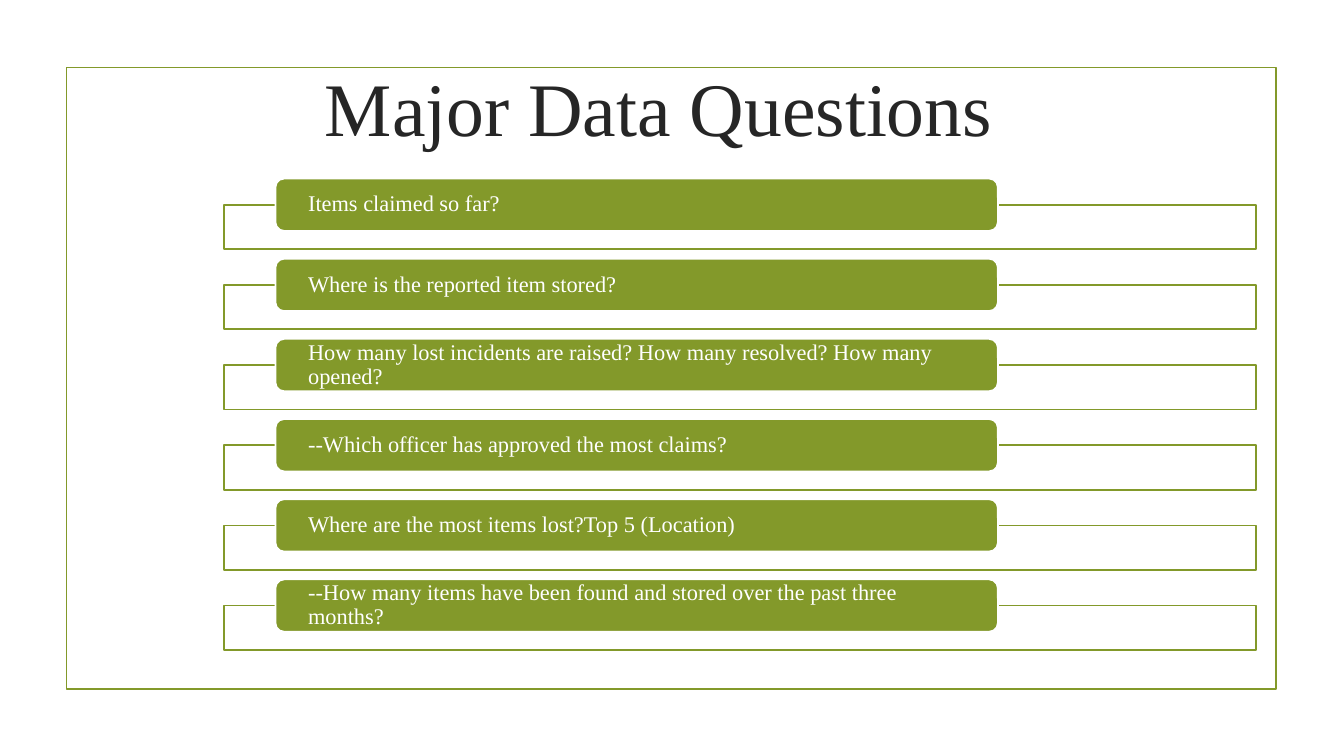
from lxml.etree import SubElement
from pptx import Presentation
from pptx.dml.color import RGBColor
from pptx.enum.shapes import MSO_SHAPE
from pptx.enum.text import MSO_ANCHOR, PP_ALIGN
from pptx.oxml.ns import qn
from pptx.util import Cm, Pt

FONT = "Times New Roman"
GREEN, WHITE, DARK = "83992A", "FFFFFF", "262626"
QUESTIONS = [
    "Items claimed so far?",
    "Where is the reported item stored?",
    "How many lost incidents are raised? How many resolved? How many opened?",
    "--Which officer has approved the most claims?",
    "Where are the most items lost?Top 5 (Location)",
    "--How many items have been found and stored over the past three months?",
]


def rgb(value):
    return RGBColor.from_string(value)


def add_box(slide, kind, left, top, width, height, fill, line):
    sp = slide.shapes.add_shape(kind, Cm(left), Cm(top), Cm(width), Cm(height))
    sp.shadow.inherit = False
    if fill:
        sp.fill.solid()
        sp.fill.fore_color.rgb = rgb(fill)
    else:
        sp.fill.background()
    sp.line.color.rgb = rgb(line)
    sp.line.width = Pt(1.25)
    return sp


def style_text(tf, text, size, color, align, anchor):
    tf.text = text
    tf.word_wrap = True
    tf.vertical_anchor = anchor
    p = tf.paragraphs[0]
    p.alignment = align
    p.font.name = FONT
    p.font.size = Pt(size)
    p.font.color.rgb = rgb(color)
    return p


def add_title(slide, left, top, width, height):
    title = slide.shapes.title
    title.left, title.top = Cm(left), Cm(top)
    title.width, title.height = Cm(width), Cm(height)
    style_text(title.text_frame, "Major Data Questions", 54, DARK,
               PP_ALIGN.CENTER, MSO_ANCHOR.BOTTOM)


def add_question(slide, text, left, top, width):
    """Place a green label over the upper edge of an outlined panel."""
    label_height = 1.32
    panel = add_box(slide, MSO_SHAPE.RECTANGLE, left, top + label_height / 2,
                    width, 1.12, WHITE, GREEN)
    color = panel.fill._xPr.find(qn("a:solidFill"))[0]
    SubElement(color, qn("a:alpha"), val="90000")

    label = add_box(slide, MSO_SHAPE.ROUNDED_RECTANGLE, left + width * 0.05, top,
                    width * 0.7, label_height, GREEN, WHITE)
    tf = label.text_frame
    tf.margin_left = tf.margin_right = Cm(0.76)
    tf.margin_top = tf.margin_bottom = 0
    p = style_text(tf, text, 16, WHITE, PP_ALIGN.LEFT, MSO_ANCHOR.MIDDLE)
    p.line_spacing = 0.9


def add_question_list(slide, left, top, width, pitch):
    for i, question in enumerate(QUESTIONS):
        add_question(slide, question, left, top + i * pitch, width)


def main():
    prs = Presentation()
    prs.slide_width, prs.slide_height = Cm(33.87), Cm(19.05)
    slide = prs.slides.add_slide(prs.slide_layouts[5])
    add_box(slide, MSO_SHAPE.RECTANGLE, 1.68, 1.7, 30.48, 15.67, None, GREEN)
    add_title(slide, 2.72, 1.02, 27.76, 2.92)
    add_question_list(slide, 5.64, 4.5, 26.01, 2.02)
    prs.save("out.pptx")


if __name__ == "__main__":
    main()
